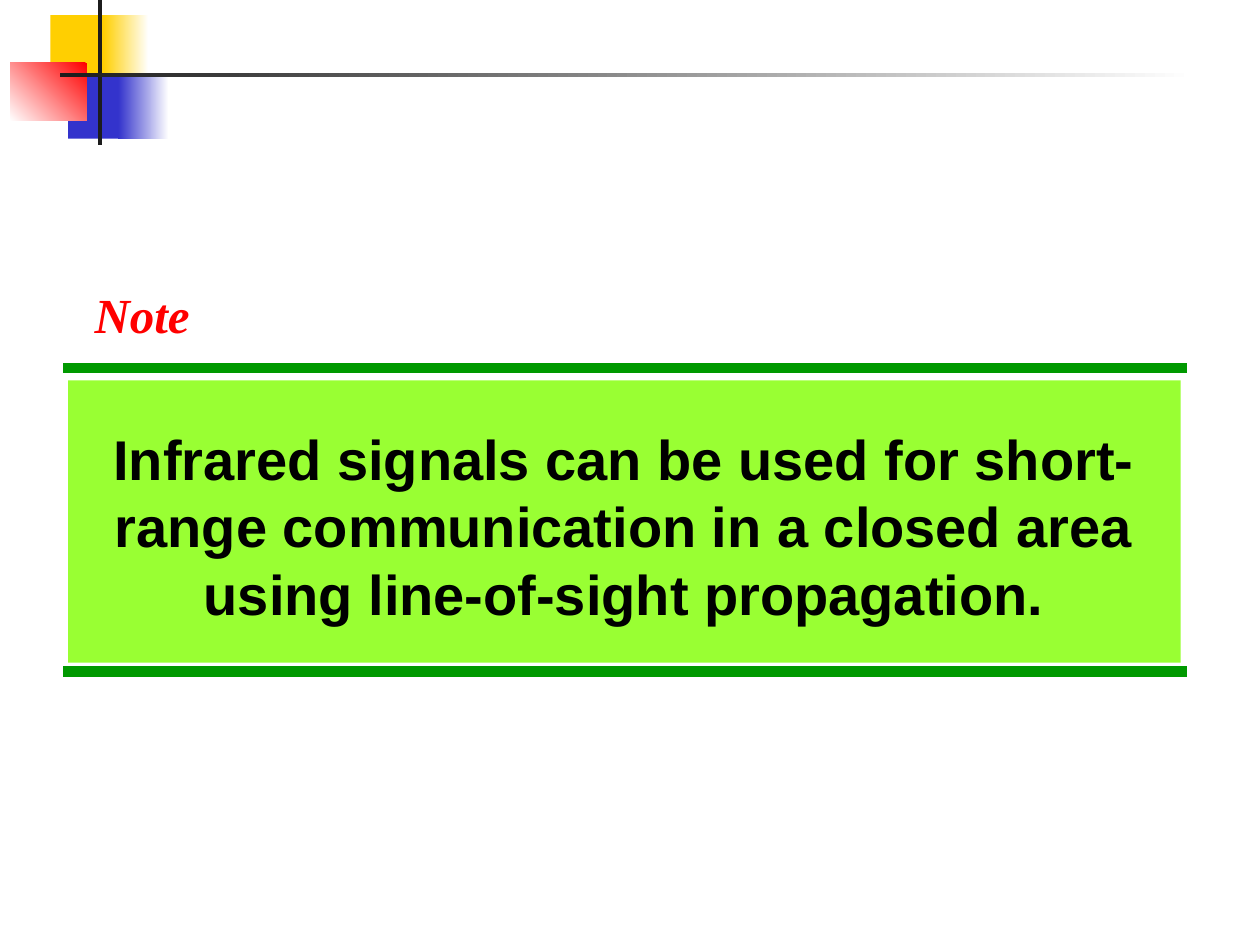
from lxml import etree
from pptx import Presentation
from pptx.dml.color import RGBColor
from pptx.enum import shapes, text
from pptx.oxml.ns import qn
from pptx.util import Inches, Pt

WHITE = RGBColor(0xFF, 0xFF, 0xFF)
BLACK = RGBColor(0x00, 0x00, 0x00)
YELLOW = RGBColor(0xFF, 0xCF, 0x01)
BLUE = RGBColor(0x33, 0x33, 0xCC)
RED = RGBColor(0xFF, 0x00, 0x00)
DARK = RGBColor(0x1C, 0x1C, 0x1C)
GREEN = RGBColor(0x00, 0x99, 0x00)
LIME = RGBColor(0x99, 0xFF, 0x33)


def add_rect(s, box, colors, angle=180):
    sp = s.shapes.add_shape(shapes.MSO_SHAPE.RECTANGLE, *map(Inches, box))
    sp.shadow.inherit = False
    sp.line.fill.background()
    if len(colors) == 1:
        sp.fill.solid()
        sp.fill.fore_color.rgb = colors[0]
    else:
        sp.fill.gradient()
        sp.fill.gradient_angle = angle
        for stop, color in zip(sp.fill.gradient_stops, colors):
            stop.color.rgb = color
    return sp


def format_run(r, font, size, color, italic=False):
    r.font.name = font
    r.font.size = Pt(size)
    r.font.bold = True
    r.font.italic = italic
    r.font.color.rgb = color


prs = Presentation()
prs.slide_width = Inches(10)
prs.slide_height = Inches(7.5)
s = prs.slides.add_slide(prs.slide_layouts[5])

add_rect(s, (0.4, 0.12, 0.48, 0.52), [YELLOW])
add_rect(s, (0.82, 0.12, 0.36, 0.52), [WHITE, YELLOW])
add_rect(s, (0.54, 0.58, 0.46, 0.52), [BLUE])
add_rect(s, (0.94, 0.58, 0.4, 0.52), [WHITE, BLUE])
add_rect(s, (0.08, 0.5, 0.61, 0.46), [RED, WHITE], angle=225)
add_rect(s, (0.78, 0, 0.03, 1.15), [DARK])
add_rect(s, (0.48, 0.58, 9, 0.03), [WHITE, DARK])

for y in (2.92, 5.33):
    line = s.shapes.add_connector(
        shapes.MSO_CONNECTOR.STRAIGHT, Inches(0.5), Inches(y), Inches(9.42), Inches(y))
    line.line.color.rgb = GREEN
    line.line.width = Pt(6)
    etree.SubElement(line._element.spPr, qn("a:effectLst"))

panel = add_rect(s, (0.54, 3.02, 8.83, 2.24), [LIME])
tf = panel.text_frame
tf.word_wrap = True
tf.vertical_anchor = text.MSO_ANCHOR.TOP
tf.margin_top = Inches(0.35)
tf.text = ("Infrared signals can be used for short-range communication "
           "in a closed area using line-of-sight propagation.")
p = tf.paragraphs[0]
p.alignment = text.PP_ALIGN.CENTER
format_run(p.runs[0], "Arial", 32, BLACK)

title = s.shapes.title
title.left, title.top = Inches(0.65), Inches(2.21)
title.width, title.height = Inches(1.2), Inches(0.57)
tf = title.text_frame
tf.text = "Note"
tf.word_wrap = True
tf.margin_right = 0
tf.auto_size = text.MSO_AUTO_SIZE.NONE
tf.vertical_anchor = text.MSO_ANCHOR.MIDDLE
p = tf.paragraphs[0]
p.alignment = text.PP_ALIGN.LEFT
format_run(p.runs[0], "Times New Roman", 28, RED, italic=True)

prs.save("out.pptx")
